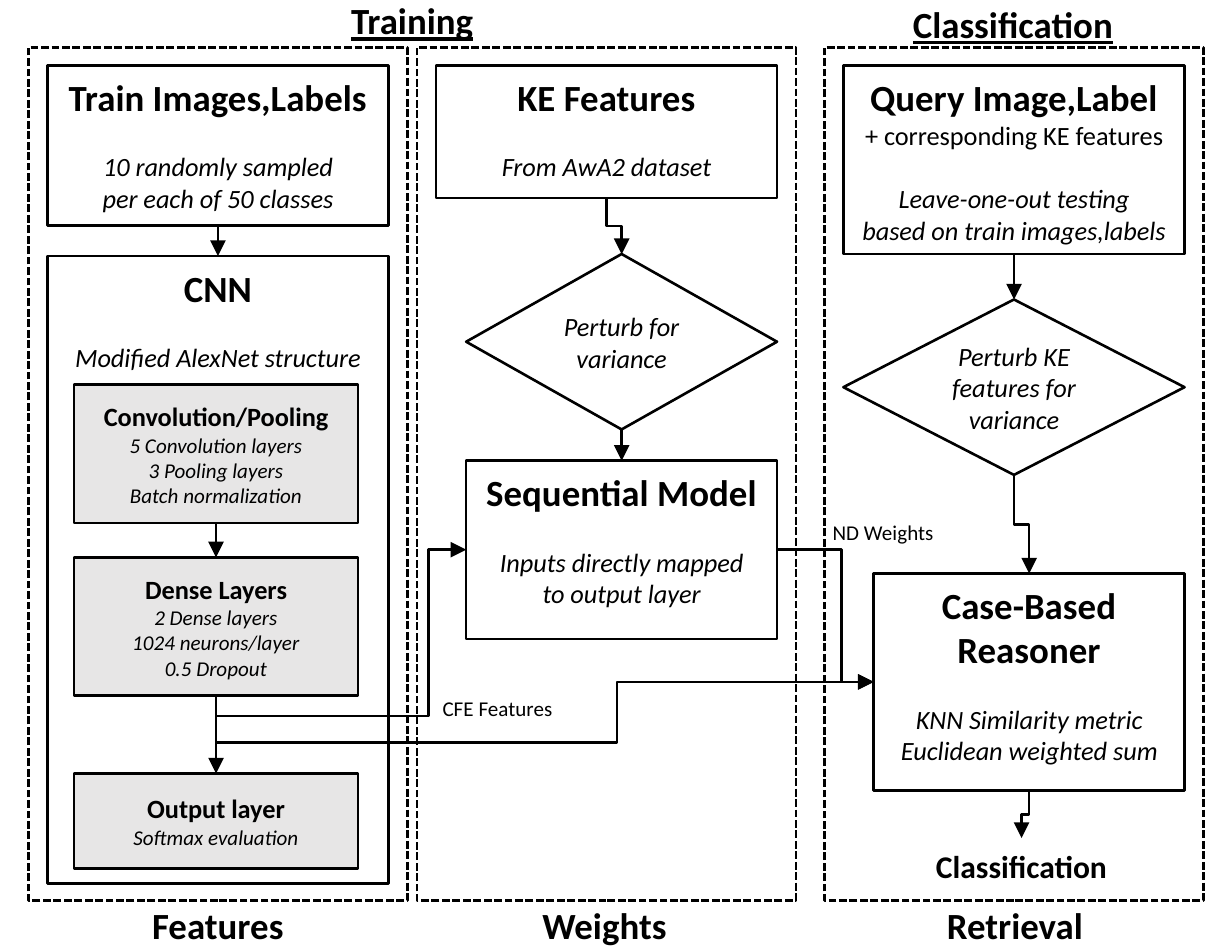
from pptx import Presentation
from pptx.dml.color import RGBColor
from pptx.enum.dml import MSO_LINE
from pptx.enum.shapes import MSO_CONNECTOR, MSO_SHAPE
from pptx.enum.text import MSO_ANCHOR, MSO_AUTO_SIZE, PP_ALIGN
from pptx.util import Inches, Pt
from lxml import etree

RECT, RHOMB = MSO_SHAPE.RECTANGLE, MSO_SHAPE.DIAMOND
TOP, MID = MSO_ANCHOR.TOP, MSO_ANCHOR.MIDDLE
LINE, ELBOW = MSO_CONNECTOR.STRAIGHT, MSO_CONNECTOR.ELBOW
DASH, FIT, CENTER = MSO_LINE.SQUARE_DOT, MSO_AUTO_SIZE.SHAPE_TO_FIT_TEXT, PP_ALIGN.CENTER
NS = "{http://schemas.openxmlformats.org/drawingml/2006/main}"
COLOR = {k: RGBColor.from_string(v) for k, v in
         {"ink": "000000", "paper": "FFFFFF", "gray": "E7E6E6"}.items()}

deck = Presentation()
deck.slide_width, deck.slide_height = Inches(6.5), Inches(5)
slide = deck.slides.add_slide(deck.slide_layouts[6])
shapes = slide.shapes
cell = deck.slide_width / 65  # grid of 65 columns by 50 rows


def grid(*spans):
    return [round(n * cell) for n in spans]


# Each line of text: words, size, style letters (b, i, u), gap before in points
def write(frame, lines):
    for n, (words, size, style, gap) in enumerate(lines):
        para = frame.paragraphs[0] if n == 0 else frame.add_paragraph()
        para.text, para.alignment = words, CENTER
        para.space_before = Pt(gap)
        font = para.font
        font.name, font.size = "Calibri", Pt(size)
        font.color.rgb = COLOR["ink"]
        font.bold, font.italic, font.underline = (s in style for s in "biu")


# Dashed lanes
for col in (1.5, 22, 43.5):
    lane = shapes.add_shape(RECT, *grid(col, 2.5, 20, 45))
    lane.shadow.inherit = False
    lane.fill.background()
    lane.line.color.rgb, lane.line.width = COLOR["ink"], Pt(1)
    lane.line.dash_style = DASH

# Steps: kind, place, fill, anchor, head, then the lines below it
steps = {
    "train": (RECT, (2.5, 3.45, 18, 8.45), "paper", TOP, [
        ("Train Images,Labels", 14, "b", 0),
        ("10 randomly sampled\vper each of 50 classes", 10, "i", 12)]),
    "cnn": (RECT, (2.5, 13.5, 18, 33.1), "paper", TOP, [
        ("CNN", 14, "b", 0), ("Modified AlexNet structure", 10, "i", 12)]),
    "conv": (RECT, (3.9, 20.3, 15, 7.3), "gray", MID, [
        ("Convolution/Pooling", 10, "b", 0), ("5 Convolution layers", 8, "i", 0),
        ("3 Pooling layers", 8, "i", 0), ("Batch normalization", 8, "i", 0)]),
    "dense": (RECT, (3.9, 29.4, 15, 7.3), "gray", MID, [
        ("Dense Layers", 10, "b", 0), ("2 Dense layers", 8, "i", 0),
        ("1024 neurons/layer", 8, "i", 0), ("0.5 Dropout", 8, "i", 0)]),
    "out": (RECT, (3.9, 40.8, 15, 5), "gray", MID, [
        ("Output layer", 10, "b", 0), ("Softmax evaluation", 8, "i", 0)]),
    "ke": (RECT, (23, 3.45, 18, 7), "paper", TOP, [
        ("KE Features", 14, "b", 0), ("From AwA2 dataset", 10, "i", 12)]),
    "vary": (RHOMB, (24.6, 13.4, 16.4, 9.25), "paper", MID, [
        ("Perturb for variance", 10, "i", 0)]),
    "model": (RECT, (24.6, 24.3, 16.4, 9.4), "paper", TOP, [
        ("Sequential Model", 14, "b", 0),
        ("Inputs directly mapped\vto output layer", 10, "i", 12)]),
    "query": (RECT, (44.5, 3.45, 18, 9.95), "paper", TOP, [
        ("Query Image,Label", 14, "b", 0),
        ("+ corresponding KE features", 10, "", 0),
        ("Leave-one-out testing\vbased on train images,labels", 10, "i", 12)]),
    "shift": (RHOMB, (44.5, 15.8, 18, 9.25), "paper", MID, [
        ("Perturb KE features for variance", 10, "i", 0)]),
    "case": (RECT, (46.1, 30.25, 16.4, 11.45), "paper", TOP, [
        ("Case-Based Reasoner", 14, "b", 0),
        ("KNN Similarity metric\vEuclidean weighted sum", 10, "i", 12)]),
}
boxes = {}
for name, (kind, place, fill, anchor, lines) in steps.items():
    box = boxes[name] = shapes.add_shape(kind, *grid(*place))
    box.shadow.inherit = False
    box.fill.solid()
    box.fill.fore_color.rgb = COLOR[fill]
    box.line.color.rgb, box.line.width = COLOR["ink"], Pt(1)
    frame = box.text_frame
    frame.word_wrap, frame.vertical_anchor = True, anchor
    if kind == RECT:
        frame.margin_left = frame.margin_right = Inches(0.08)
    write(frame, lines)

# Free labels
for words, place, size, style in (
        ("Training", (17.5, -0.6, 8.5, 3.4), 14, "bu"),
        ("Classification", (47.1, -0.4, 12.7, 3.4), 14, "bu"),
        ("Features", (7, 47.1, 9, 3.4), 14, "b"),
        ("Weights", (27.6, 47.1, 8.6, 3.4), 14, "b"),
        ("Retrieval", (48.9, 47.1, 9.3, 3.4), 14, "b"),
        ("Classification", (48.3, 44.2, 11.2, 3), 12, "b"),
        ("ND Weights", (42.9, 26.9, 7.4, 2.4), 8, ""),
        ("CFE Features", (22.3, 36.2, 7.9, 2.4), 8, "")):
    frame = shapes.add_textbox(*grid(*place)).text_frame
    frame.word_wrap, frame.auto_size = False, FIT
    write(frame, [(words, size, style, 0)])

# Straight arrows, bottom to top
links = []
for start, end in (("train", "cnn"), ("conv", "dense"), ("dense", "out"),
                   ("vary", "model"), ("query", "shift")):
    link = shapes.add_connector(LINE, 0, 0, 0, 0)
    link.begin_connect(boxes[start], 2)
    link.end_connect(boxes[end], 0)
    links.append(link)

# Bent arrows: ends, whether the first leg runs down, bends as shares of the box
for ends, down, bends in (
        ((11.4, 36.7, 24.6, 29), True, (-0.14, 0.85)),
        ((11.4, 36.7, 46.1, 35.97), True, (-3.4, 0.61)),
        ((32, 10.45, 32.8, 13.4), True, (0.5,)),
        ((53.5, 25.05, 54.3, 30.25), True, (0.5,)),
        ((54.3, 41.7, 53.9, 44.2), True, (0.5,)),
        ((41, 29, 46.1, 35.97), False, (0.67,))):
    x1, y1, x2, y2 = ends
    link = shapes.add_connector(ELBOW, *grid(*ends))
    if down:  # a quarter turn about the centre swaps width and height
        wide, high = abs(y2 - y1), abs(x2 - x1)
        link.left, link.top, link.width, link.height = grid(
            (x1 + x2 - wide) / 2, (y1 + y2 - high) / 2, wide, high)
        xfrm = link._element.spPr.find(NS + "xfrm")
        xfrm.set("rot", "5400000")
        xfrm.set("flipH", str(int(y2 < y1)))
        xfrm.set("flipV", str(int(x2 > x1)))
    geom = link._element.spPr.find(NS + "prstGeom")
    geom.set("prst", f"bentConnector{len(bends) + 2}")
    guides = geom.find(NS + "avLst")
    for n, bend in enumerate(bends, 1):
        etree.SubElement(guides, NS + "gd", name=f"adj{n}",
                         fmla=f"val {round(bend * 100000)}")
    links.append(link)

# Line style and arrowheads
for link in links:
    link.line.color.rgb, link.line.width = COLOR["ink"], Pt(1)
    etree.SubElement(link.line._get_or_add_ln(), NS + "tailEnd", type="triangle")
    etree.SubElement(link._element.spPr, NS + "effectLst")

deck.save("out.pptx")
